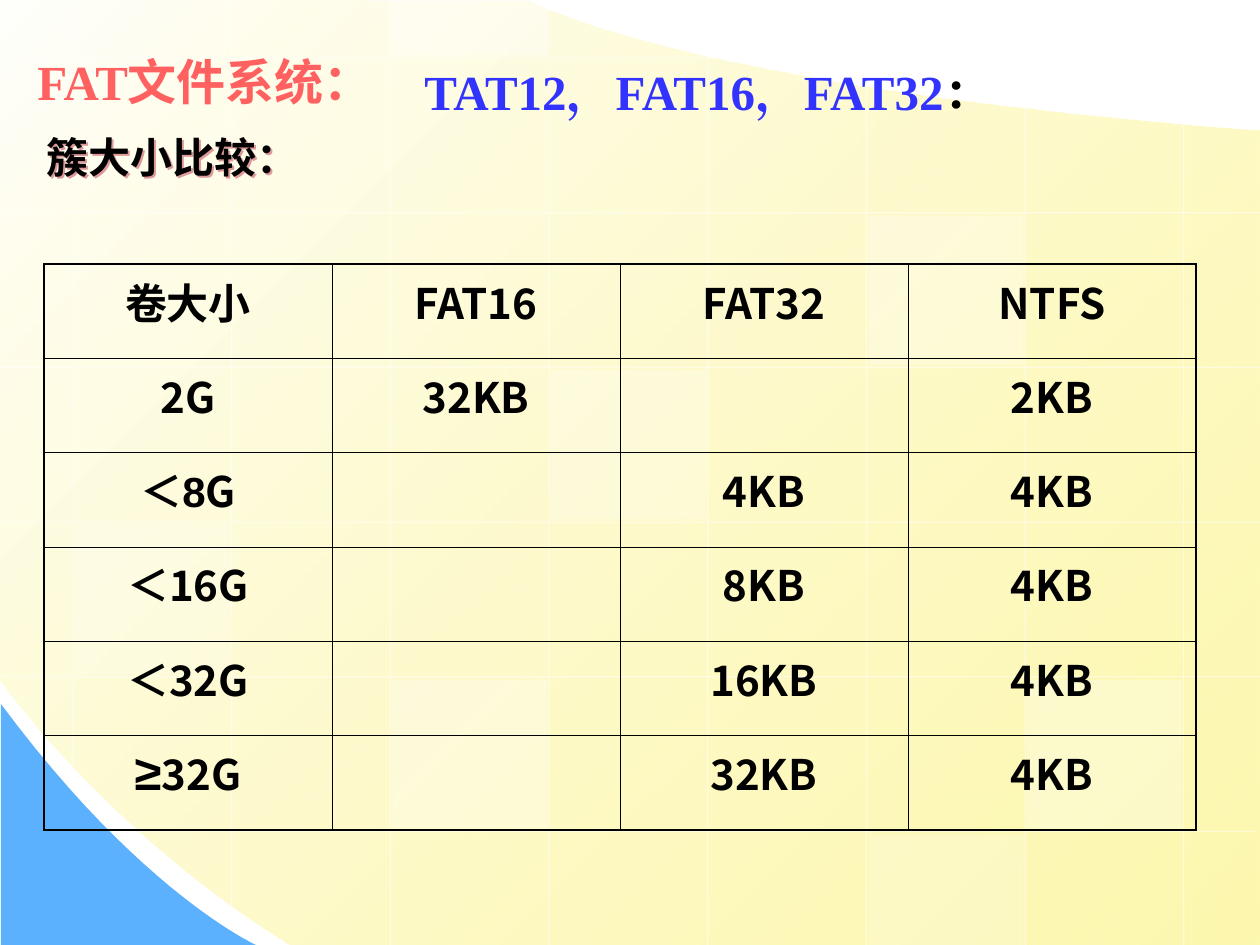
from lxml.etree import SubElement
from pptx import Presentation
from pptx.dml.color import RGBColor
from pptx.enum.shapes import MSO_CONNECTOR as Connector, MSO_SHAPE as Shape
from pptx.enum.text import PP_ALIGN as Align
from pptx.oxml.ns import qn
from pptx.util import Pt

PX = 914400 / 126
WIDTH, HEIGHT = 1260, 945

WHITE = RGBColor(0xFF, 0xFF, 0xFF)
BLACK = RGBColor(0, 0, 0)
CREAM = RGBColor(0xFF, 0xFF, 0xFB)
YELLOW = RGBColor(0xFD, 0xF5, 0x8D)
SKY = RGBColor(0x5C, 0xB1, 0xFE)
CORAL = RGBColor(0xFF, 0x61, 0x61)
BLUE = RGBColor(0x33, 0x33, 0xFF)
SERIF, SANS, ARIAL = "Times New Roman", "Noto Sans CJK SC", "Arial"

# Content: a run is (text, format that differs from the default)
HEADING = [("FAT文件系统：", dict(color=CORAL))]
VERSIONS = [("TAT12，FAT16，FAT32", dict(color=BLUE)), ("：", {})]
SUBHEADING = [("簇大小比较：", {})]
CLUSTER_SIZES = [
    ["卷大小", "FAT16", "FAT32", "NTFS"],
    ["2G", "32KB", "", "2KB"],
    [[("＜8", dict(font=ARIAL)), ("G", {})], "", "4KB", "4KB"],
    ["＜16G", "", "8KB", "4KB"],
    ["＜32G", "", "16KB", "4KB"],
    [[("≥", dict(font=ARIAL, size=28)), ("32G", {})], "", "32KB", "4KB"],
]

# Background outlines: start point, then lines (1 point) and curves (3 points)
YELLOW_FIELD = [(1260, 131),
                [(1260, 538), (1260, 945), (1260, 945)],
                [(1260, 945), (775, 945), (290, 945)],
                [(108, 833), (-1, 679), (0, 679)],
                [(-1, -1)], [(530, 1)],
                [(530, 1), (677, 87), (1260, 131)]]
BLUE_CORNER = [(1, 704), [(1, 945)], [(256, 945)],
               [(256, 945), (141, 893), (1, 704)]]

# Background grid
GRID_X, GRID_Y, PITCH_X, PITCH_Y = 73, 58, 158.7, 154.7
COLUMN_SPANS = [(0, 767), (0, 906), (0, 945), (0, 945),
                (54, 945), (86, 945), (107, 945), (123, 945)]
ROW_SPANS = [(0, 716)] + [(0, 1260)] * 4 + [(140, 1256)]
TILES = [(3, 2, 25), (6, 4, 30), (0, 3, 20), (5, 5, 20),  # column, row, opacity
         (2, -1, 40), (2, 4, 30), (5, 1, 30)]

TABLE_LEFT, TABLE_TOP, COLUMN_W, TABLE_H = 44, 264, 288, 566


def emu(px):
    return round(px * PX)


def set_opacity(fill_parent, percent):
    for color in fill_parent.iter(qn("a:srgbClr")):
        SubElement(color, qn("a:alpha"), val=str(percent * 1000))


def write_text(frame, runs, font=SANS, east_asian=SANS, size=24, color=BLACK,
               align=Align.LEFT, spacing=None):
    paragraph = frame.paragraphs[0]
    paragraph.alignment = align
    paragraph.line_spacing = spacing
    for text, changes in runs:
        run = paragraph.add_run()
        run.text = text
        run.font.bold = True
        run.font.size = Pt(changes.get("size", size))
        run.font.color.rgb = changes.get("color", color)
        run.font.name = changes.get("font", font)
        SubElement(run.font._element, qn("a:ea"), typeface=east_asian)


def add_text(slide, left, top, width, height, runs, **text_format):
    box = slide.shapes.add_textbox(*map(emu, (left, top, width, height)))
    box.text_frame.word_wrap = True
    write_text(box.text_frame, runs, **text_format)
    return box


def add_outline(slide, outline, steps=24):
    points = [outline[0]]
    for segment in outline[1:]:
        if len(segment) == 1:
            points += segment
            continue
        curve = [points[-1], *segment]
        for step in range(1, steps + 1):
            t = step / steps
            weights = ((1 - t) ** 3, 3 * t * (1 - t) ** 2, 3 * t * t * (1 - t), t ** 3)
            points.append(tuple(sum(w * p[axis] for w, p in zip(weights, curve))
                                for axis in (0, 1)))
    start, *rest = [(emu(x), emu(y)) for x, y in points]
    builder = slide.shapes.build_freeform(*start)
    builder.add_line_segments(rest, close=True)
    area = builder.convert_to_shape()
    area.shadow.inherit = False
    area.line.fill.background()
    return area


def add_grid_line(slide, *ends):
    line = slide.shapes.add_connector(Connector.STRAIGHT, *map(emu, ends))
    line.line.color.rgb = WHITE
    line.line.width = Pt(0.75)
    set_opacity(line.line._ln, 50)
    SubElement(line._element.spPr, qn("a:effectLst"))


def add_background(slide):
    field = add_outline(slide, YELLOW_FIELD)
    field.fill.gradient()
    field.fill.gradient_angle = 315
    first, last = field.fill.gradient_stops
    first.color.rgb, first.position = CREAM, 0
    last.color.rgb, last.position = YELLOW, 1
    set_opacity(last._gs, 70)

    corner = add_outline(slide, BLUE_CORNER)
    corner.fill.solid()
    corner.fill.fore_color.rgb = SKY

    for column, (top, bottom) in enumerate(COLUMN_SPANS):
        x = GRID_X + column * PITCH_X
        add_grid_line(slide, x, top, x, bottom)
    for row, (left, right) in enumerate(ROW_SPANS):
        y = GRID_Y + row * PITCH_Y
        add_grid_line(slide, right, y, left, y)

    for column, row, opacity in TILES:
        left = GRID_X + column * PITCH_X + 2
        top = GRID_Y + row * PITCH_Y + 3
        bottom = min(top + 149, HEIGHT)
        top = max(top, 0)
        tile = slide.shapes.add_shape(Shape.RECTANGLE,
                                      *map(emu, (left, top, 155, bottom - top)))
        tile.shadow.inherit = False
        tile.line.fill.background()
        tile.fill.solid()
        tile.fill.fore_color.rgb = WHITE
        set_opacity(tile.fill._xPr, opacity)


def set_borders(cell, outer_sides):
    properties = cell._tc.get_or_add_tcPr()
    for index, side in enumerate(("lnL", "lnR", "lnT", "lnB")):
        width = Pt(1.08) if side in outer_sides else Pt(0.45)
        border = properties.makeelement(qn("a:" + side), {"w": str(int(width))})
        fill = SubElement(border, qn("a:solidFill"))
        SubElement(fill, qn("a:srgbClr"), val=str(BLACK))
        properties.insert(index, border)


def add_cluster_table(slide):
    rows, columns = len(CLUSTER_SIZES), len(CLUSTER_SIZES[0])
    table = slide.shapes.add_table(rows, columns, emu(TABLE_LEFT), emu(TABLE_TOP),
                                   emu(COLUMN_W * columns), emu(TABLE_H)).table
    table.first_row = table.horz_banding = False
    for column in table.columns:
        column.width = emu(COLUMN_W)
    for r, values in enumerate(CLUSTER_SIZES):
        table.rows[r].height = emu(TABLE_H / rows)
        for c, value in enumerate(values):
            cell = table.cell(r, c)
            cell.fill.background()
            edges = {"lnL": c == 0, "lnR": c == columns - 1,
                     "lnT": r == 0, "lnB": r == rows - 1}
            set_borders(cell, [side for side, outer in edges.items() if outer])
            if value:
                runs = [(value, {})] if isinstance(value, str) else value
                write_text(cell.text_frame, runs, align=Align.CENTER)


def add_text_shadow(box):
    effects = SubElement(box._element.spPr, qn("a:effectLst"))
    shadow = SubElement(effects, qn("a:outerShdw"), dist="25400", dir="2700000")
    SubElement(shadow, qn("a:srgbClr"), val="DD9999")


def main():
    deck = Presentation()
    deck.slide_width, deck.slide_height = emu(WIDTH), emu(HEIGHT)
    slide = deck.slides.add_slide(deck.slide_layouts[6])
    add_background(slide)
    add_text(slide, 25, 45, 581, 72, HEADING, font=SERIF, size=28)
    versions = add_text(slide, 412, -4, 704, 131, VERSIONS, font=SERIF,
                        east_asian=SERIF, size=28, spacing=2.0)
    indent = versions.text_frame.paragraphs[0]._p.get_or_add_pPr()
    indent.set("marL", str(emu(63)))
    indent.set("indent", str(emu(-63)))
    add_cluster_table(slide)
    add_text_shadow(add_text(slide, 34, 125, 714, 63, SUBHEADING, font=ARIAL))
    deck.save("out.pptx")


if __name__ == "__main__":
    main()
